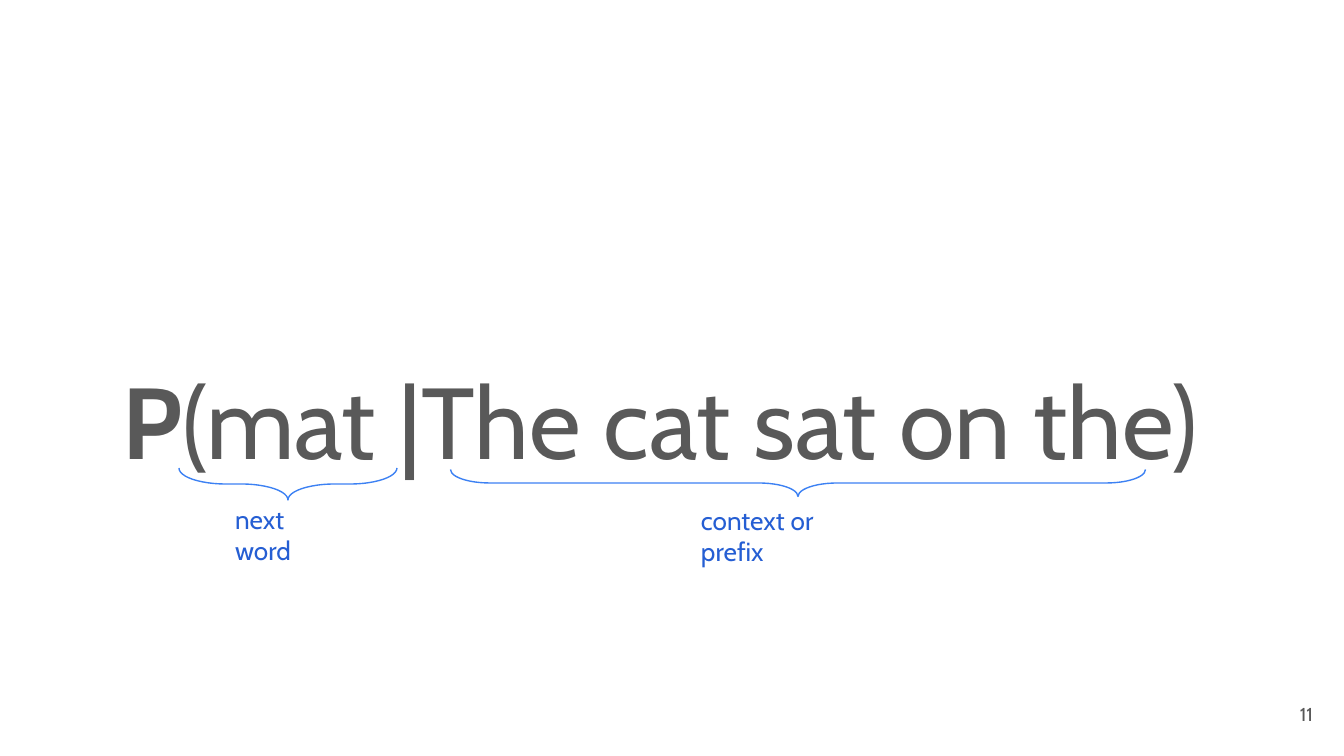
from typing import NamedTuple

from pptx import Presentation
from pptx.dml.color import RGBColor
from pptx.enum.shapes import MSO_SHAPE as Shape
from pptx.enum.text import MSO_ANCHOR as Anchor, PP_ALIGN as Align
from pptx.util import Emu, Pt

EMU_PER_PX = 914400 / 134.4
FONT = "Cabin"
GREY = RGBColor(0x59, 0x59, 0x59)
BLUE = RGBColor(0x25, 0x5E, 0xD3)
BRACE_BLUE = RGBColor(0x3C, 0x81, 0xF3)


class Run(NamedTuple):
    text: str
    bold: bool = False


class Label(NamedTuple):
    runs: list[Run]
    left: int
    top: int
    width: int
    height: int
    size: int
    color: RGBColor
    inset_x: int = 13
    inset_y: int = 13
    indent: int = 0
    line_spacing: float = 1.0
    align: Align = Align.LEFT
    anchor: Anchor = Anchor.TOP


class Brace(NamedTuple):
    center_x: int
    center_y: int
    span: int
    depth: int


LABELS = [
    # Conditional probability
    Label([Run("P", True), Run("(mat |The cat sat on the)")],
          42, 328, 1260, 340, 54, GREY, indent=67, line_spacing=1.15),
    # Captions under the braces
    Label([Run("context or prefix")], 688, 497, 194, 76, 14, BLUE, inset_y=7),
    Label([Run("next word")], 222, 496, 130, 76, 14, BLUE, inset_y=7),
    # Slide number
    Label([Run("11")], 1246, 685, 80, 58, 10, GREY,
          align=Align.RIGHT, anchor=Anchor.MIDDLE),
]
BRACES = [Brace(798, 483, 695, 27), Brace(288, 484, 218, 32)]


def px(value: float) -> Emu:
    return Emu(round(value * EMU_PER_PX))


def draw_label(slide, label: Label) -> None:
    box = slide.shapes.add_textbox(px(label.left), px(label.top),
                                   px(label.width), px(label.height))
    frame = box.text_frame
    frame.word_wrap = True
    frame.vertical_anchor = label.anchor
    frame.margin_left = px(label.inset_x + label.indent)
    frame.margin_right = px(label.inset_x)
    frame.margin_top = frame.margin_bottom = px(label.inset_y)
    paragraph = frame.paragraphs[0]
    paragraph.alignment = label.align
    paragraph.line_spacing = label.line_spacing
    for text, bold in label.runs:
        run = paragraph.add_run()
        run.text = text
        run.font.name = FONT
        run.font.size = Pt(label.size)
        run.font.bold = bold
        run.font.color.rgb = label.color


def draw_brace(slide, brace: Brace) -> None:
    # The frame is upright before it is turned to point down
    shape = slide.shapes.add_shape(
        Shape.LEFT_BRACE,
        px(brace.center_x - brace.depth / 2), px(brace.center_y - brace.span / 2),
        px(brace.depth), px(brace.span))
    shape.rotation = 270
    shape.adjustments[0] = 1.46
    shape.adjustments[1] = 0.5
    shape.shadow.inherit = False
    shape.fill.background()
    shape.line.color.rgb = BRACE_BLUE
    shape.line.width = Pt(0.75)


def main() -> None:
    presentation = Presentation()
    presentation.slide_width = px(1344)
    presentation.slide_height = px(756)
    slide = presentation.slides.add_slide(presentation.slide_layouts[6])
    for brace in BRACES:
        draw_brace(slide, brace)
    for label in LABELS:
        draw_label(slide, label)
    presentation.save("out.pptx")


if __name__ == "__main__":
    main()
